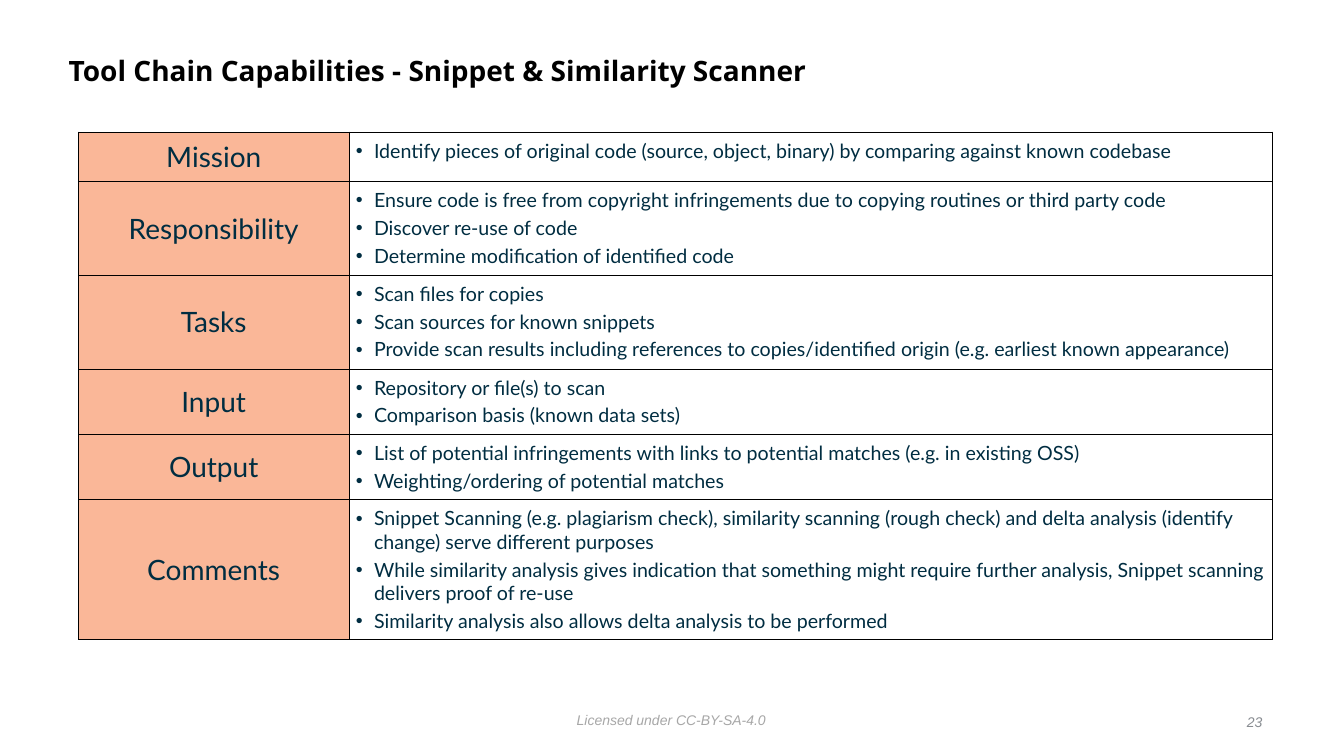
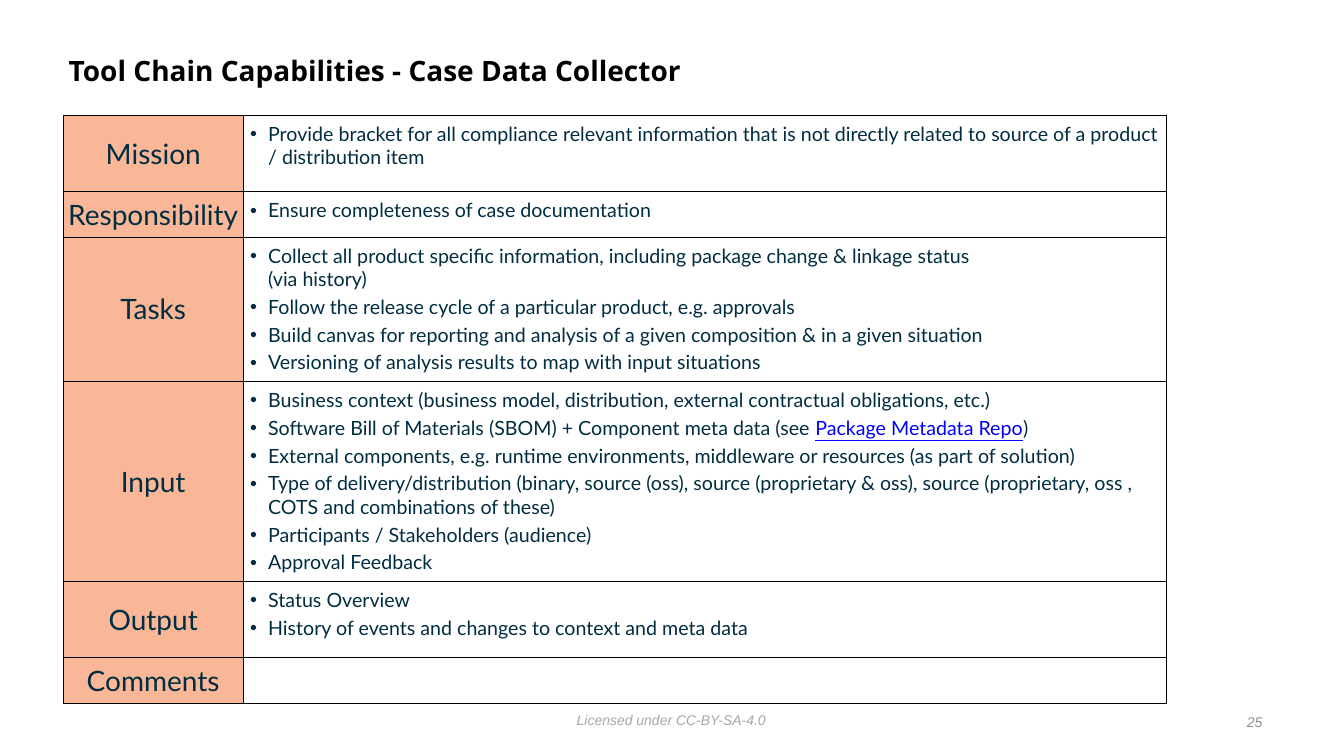
from dataclasses import dataclass

from lxml.etree import SubElement
from pptx import Presentation
from pptx.dml.color import RGBColor
from pptx.enum.text import MSO_ANCHOR, MSO_AUTO_SIZE, PP_ALIGN
from pptx.oxml import parse_xml
from pptx.oxml.ns import nsdecls, qn
from pptx.util import Inches, Pt


@dataclass(frozen=True)
class Theme:
    title_font: str = "Open Sans"
    table_font: str = "Lato"
    footer_font: str = "Arial"
    title_color: str = "000000"
    text: str = "002D41"
    link: str = "0000FF"
    label_fill: str = "FAB798"
    border: str = "000000"
    license: str = "A7A7A7"
    number: str = "888C91"
    title_size: int = 20
    label_size: int = 20
    bullet_size: int = 14
    footer_size: int = 10
    border_width: float = 0.5


T = Theme()
TITLE_BOX = (0.63, 0.39, 10.75, 0.65)
LICENSE_BOX = (5.67, 7.01, 1.99, 0.25)
NUMBER_BOX = (12.07, 7.03, 0.5, 0.25)
LABELS = ("Mission", "Responsibility", "Tasks", "Input", "Output", "Comments")
BULLETS_WIDTH = 9.16

SCANNER = [
    ["Identify pieces of original code (source, object, binary) by comparing against known codebase"],
    ["Ensure code is free from copyright infringements due to copying routines or third party code",
     "Discover re-use of code",
     "Determine modification of identified code"],
    ["Scan files for copies",
     "Scan sources for known snippets",
     "Provide scan results including references to copies/identified origin (e.g. earliest known appearance)"],
    ["Repository or file(s) to scan",
     "Comparison basis (known data sets)"],
    ["List of potential infringements with links to potential matches (e.g. in existing OSS)",
     "Weighting/ordering of potential matches"],
    ["Snippet Scanning (e.g. plagiarism check), similarity scanning (rough check) and delta analysis "
     "(identify change) serve different purposes",
     "While similarity analysis gives indication that something might require further analysis, "
     "Snippet scanning delivers proof of re-use",
     "Similarity analysis also allows delta analysis to be performed"],
]

COLLECTOR = [
    ["Provide bracket for all compliance relevant information that is not directly related to source "
     "of a product / distribution item"],
    ["Ensure completeness of case documentation"],
    ["Collect all product specific information, including package change & linkage status\n(via history)",
     "Follow the release cycle of a particular product, e.g. approvals",
     "Build canvas for reporting and analysis of a given composition & in a given situation",
     "Versioning of analysis results to map with input situations"],
    ["Business context (business model, distribution, external contractual obligations, etc.)",
     ("Software Bill of Materials (SBOM) + Component meta data (see ", "Package Metadata Repo", ")"),
     "External components, e.g. runtime environments, middleware or resources (as part of solution)",
     "Type of delivery/distribution (binary, source (oss), source (proprietary & oss), "
     "source (proprietary, oss , COTS and combinations of these)",
     "Participants / Stakeholders (audience)",
     "Approval Feedback"],
    ["Status Overview",
     "History of events and changes to context and meta data"],
    [],
]


def inches(box):
    return [Inches(v) for v in box]


def add_run(p, text, font, size, color, bold=False, italic=False, underline=False):
    r = p.add_run()
    r.text = text
    f = r.font
    f.name, f.size, f.color.rgb = font, Pt(size), RGBColor.from_string(color)
    f.bold, f.italic, f.underline = bold, italic, underline


def set_margins(target, margin):
    target.margin_left = target.margin_right = Inches(margin)
    target.margin_top = target.margin_bottom = Inches(margin)


def add_title(s, box, text):
    sp = s.shapes.title
    sp.left, sp.top, sp.width, sp.height = inches(box)
    tf = sp.text_frame
    tf.auto_size = MSO_AUTO_SIZE.NONE
    tf.vertical_anchor = MSO_ANCHOR.MIDDLE
    set_margins(tf, 0.05)
    p = tf.paragraphs[0]
    p.alignment, p.line_spacing = PP_ALIGN.LEFT, 0.9
    add_run(p, text, T.title_font, T.title_size, T.title_color, bold=True)


def add_footer_text(s, box, text, color, align):
    tf = s.shapes.add_textbox(*inches(box)).text_frame
    tf.word_wrap = True
    set_margins(tf, 0.05)
    p = tf.paragraphs[0]
    p.alignment = align
    add_run(p, text, T.footer_font, T.footer_size, color, italic=True)


def add_borders(cell):
    tcPr = cell._tc.get_or_add_tcPr()
    for i, side in enumerate(("lnL", "lnR", "lnT", "lnB")):
        tcPr.insert(i, parse_xml(
            f'<a:{side} {nsdecls("a")} w="{Pt(T.border_width)}"><a:solidFill>'
            f'<a:srgbClr val="{T.border}"/></a:solidFill></a:{side}>'))


def fill_label(cell, text):
    cell.fill.solid()
    cell.fill.fore_color.rgb = RGBColor.from_string(T.label_fill)
    cell.vertical_anchor = MSO_ANCHOR.MIDDLE
    set_margins(cell, 0)
    p = cell.text_frame.paragraphs[0]
    p.alignment = PP_ALIGN.CENTER
    add_run(p, text, T.table_font, T.label_size, T.text)


def add_bullet(p):
    pPr = p._p.get_or_add_pPr()
    pPr.set("marL", str(Inches(0.18)))
    pPr.set("indent", str(-Inches(0.18)))
    SubElement(pPr, qn("a:buFont"), typeface="Arial")
    SubElement(pPr, qn("a:buChar"), char="•")


def fill_bullets(cell, items):
    cell.fill.background()
    set_margins(cell, 0.07)
    tf = cell.text_frame
    for i, item in enumerate(items):
        p = tf.add_paragraph() if i else tf.paragraphs[0]
        add_bullet(p)
        p.space_before = Pt(3 if i else 0)
        parts = (item,) if isinstance(item, str) else item
        for j, part in enumerate(parts):
            linked = j % 2 == 1
            for k, line in enumerate(part.split("\n")):
                if k:
                    p.add_line_break()
                add_run(p, line, T.table_font, T.bullet_size,
                        T.link if linked else T.text, underline=linked)


def add_capabilities(s, left, top, label_width, heights, content):
    frame = s.shapes.add_table(len(LABELS), 2, *inches(
        (left, top, label_width + BULLETS_WIDTH, sum(heights))))
    table = frame.table
    table.first_row = table.horz_banding = False
    for col, width in zip(table.columns, (label_width, BULLETS_WIDTH)):
        col.width = Inches(width)
    for i, (label, height, items) in enumerate(zip(LABELS, heights, content)):
        table.rows[i].height = Inches(height)
        fill_label(table.cell(i, 0), label)
        fill_bullets(table.cell(i, 1), items)
    for cell in table.iter_cells():
        add_borders(cell)


def add_capability_slide(prs, name, number, **table):
    s = prs.slides.add_slide(prs.slide_layouts[5])
    add_footer_text(s, LICENSE_BOX, "Licensed under CC-BY-SA-4.0", T.license, PP_ALIGN.LEFT)
    add_title(s, TITLE_BOX, f"Tool Chain Capabilities - {name}")
    add_capabilities(s, **table)
    add_footer_text(s, NUMBER_BOX, str(number), T.number, PP_ALIGN.RIGHT)


def main():
    prs = Presentation()
    prs.slide_width, prs.slide_height = Inches(13.33), Inches(7.5)
    add_capability_slide(prs, "Snippet & Similarity Scanner", 23, left=0.78, top=1.31,
                         label_width=2.68, heights=(0.49, 0.93, 0.93, 0.64, 0.64, 1.39),
                         content=SCANNER)
    add_capability_slide(prs, "Case Data Collector", 25, left=0.63, top=1.14,
                         label_width=1.78, heights=(0.76, 0.45, 1.43, 1.98, 0.76, 0.45),
                         content=COLLECTOR)
    prs.save("out.pptx")


if __name__ == "__main__":
    main()
